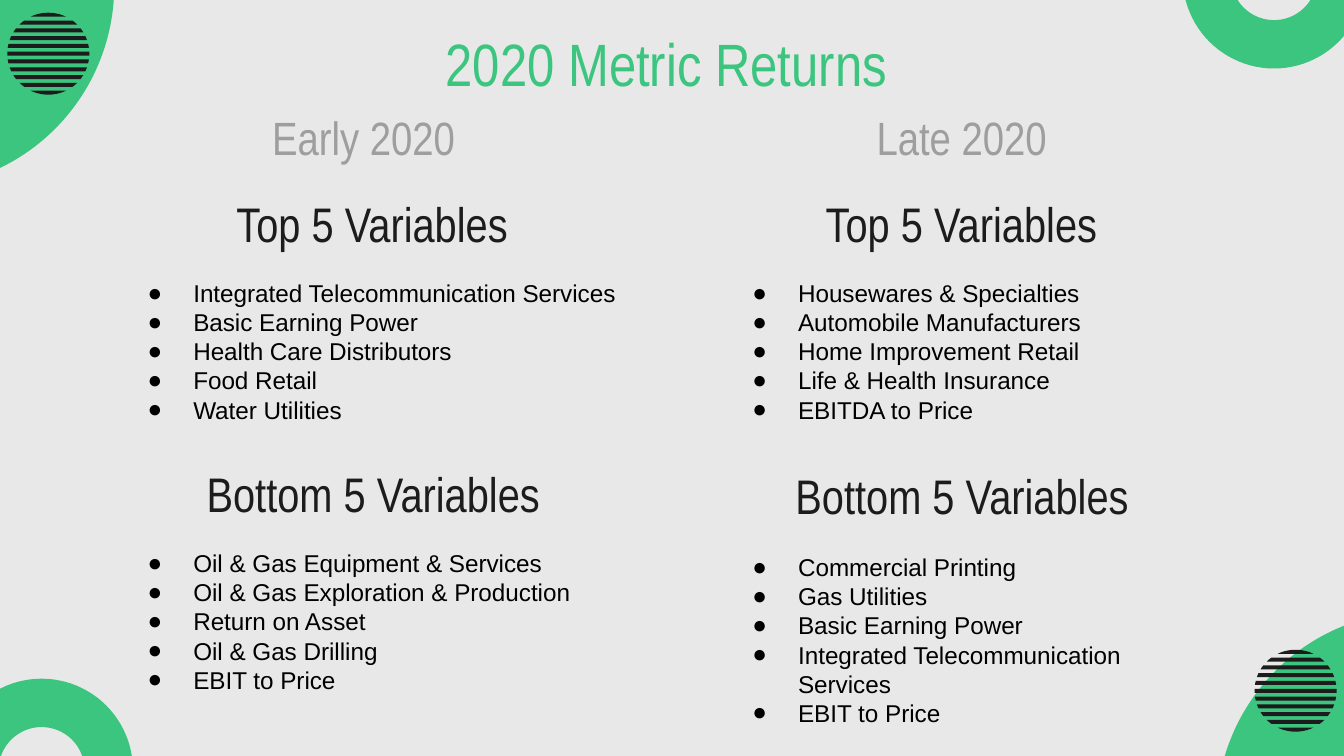
import math
from dataclasses import dataclass

import lxml.etree
import pptx
import pptx.dml.color
import pptx.enum.shapes
import pptx.enum.text
import pptx.oxml.ns
import pptx.util

Inches = pptx.util.Inches
Point = tuple[float, float]


@dataclass(frozen=True)
class Theme:
    background: str = "E8E8E8"
    green: str = "3BC57F"
    dark: str = "1C1C1C"
    gray: str = "9E9E9E"
    black: str = "000000"
    heading_font: str = "Arial Narrow"
    body_font: str = "Arial"
    title_size: float = 32
    period_size: float = 25
    heading_size: float = 26
    body_size: float = 13


@dataclass(frozen=True)
class Box:
    left: float
    top: float
    width: float
    height: float


@dataclass(frozen=True)
class Heading:
    text: str
    box: Box
    size: float
    color: str


@dataclass(frozen=True)
class VariableList:
    box: Box
    items: tuple[str, ...]


THEME = Theme()
SLIDE_WIDTH = 10
SLIDE_HEIGHT = SLIDE_WIDTH * 9 / 16
DISC_SIZE = 3.01
DISCS = ((-2.16, -1.61), (9.05, 4.55))
RING_OUTER, RING_INNER = 0.68, 0.32
RINGS = ((0.31, 5.73, 180), (9.48, -0.17, 0))
STRIPE_RADIUS, STRIPE_HEIGHT, STRIPE_COUNT = 0.305, 0.03, 11
STRIPED_CIRCLES = ((0.36, 0.4), (9.64, 5.14))

HEADINGS = (
    Heading("2020 Metric Returns ", Box(0.85, 0.1, 8.32, 0.63), THEME.title_size, THEME.green),
    Heading("Early 2020", Box(1.25, 0.71, 2.91, 0.63), THEME.period_size, THEME.gray),
    Heading("Late 2020", Box(5.7, 0.71, 2.91, 0.63), THEME.period_size, THEME.gray),
    Heading("Top 5 Variables", Box(0.43, 1.34, 4.68, 0.63), THEME.heading_size, THEME.dark),
    Heading("Top 5 Variables", Box(5.7, 1.34, 2.91, 0.63), THEME.heading_size, THEME.dark),
    Heading("Bottom 5 Variables", Box(1.01, 3.35, 3.54, 0.63), THEME.heading_size, THEME.dark),
    Heading("Bottom 5 Variables", Box(5.2, 3.37, 3.92, 0.64), THEME.heading_size, THEME.dark),
)

LISTS = (
    VariableList(Box(0.84, 1.97, 3.86, 1.39), (
        "Integrated Telecommunication Services", "Basic Earning Power",
        "Health Care Distributors", "Food Retail", "Water Utilities")),
    VariableList(Box(5.34, 1.97, 3.63, 1.3), (
        "Housewares & Specialties", "Automobile Manufacturers",
        "Home Improvement Retail", "Life & Health Insurance", "EBITDA to Price")),
    VariableList(Box(0.84, 3.98, 3.86, 1.39), (
        "Oil & Gas Equipment & Services", "Oil & Gas Exploration & Production",
        "Return on Asset", "Oil & Gas Drilling", "EBIT to Price")),
    VariableList(Box(5.34, 4.01, 3.63, 1.73), (
        "Commercial Printing", "Gas Utilities", "Basic Earning Power",
        "Integrated Telecommunication Services", "EBIT to Price")),
)


def rgb(color: str) -> pptx.dml.color.RGBColor:
    return pptx.dml.color.RGBColor.from_string(color)


def paint(sp, color: str) -> None:
    sp.fill.solid()
    sp.fill.fore_color.rgb = rgb(color)
    sp.line.fill.background()
    sp.shadow.inherit = False


def add_outline(shapes, points: list[Point], color: str) -> None:
    corners = [(Inches(x), Inches(y)) for x, y in points]
    builder = shapes.build_freeform(*corners[0])
    builder.add_line_segments(corners[1:], close=True)
    paint(builder.convert_to_shape(), color)


def arc(x: float, y: float, radius: float, start: float, sweep: float, steps: int) -> list[Point]:
    angles = [math.radians(start + sweep * i / steps) for i in range(steps + 1)]
    return [(x + radius * math.cos(a), y + radius * math.sin(a)) for a in angles]


def add_disc(shapes, left: float, top: float) -> None:
    sp = shapes.add_shape(pptx.enum.shapes.MSO_SHAPE.OVAL, Inches(left), Inches(top),
                          Inches(DISC_SIZE), Inches(DISC_SIZE))
    paint(sp, THEME.green)


def add_half_ring(shapes, x: float, y: float, start: float) -> None:
    outer = arc(x, y, RING_OUTER, start, 180, 48)
    inner = arc(x, y, RING_INNER, start + 180, -180, 32)
    add_outline(shapes, outer + inner, THEME.green)


def add_striped_circle(shapes, x: float, y: float) -> None:
    group = shapes.add_group_shape()
    pitch = (2 * STRIPE_RADIUS - STRIPE_HEIGHT) / (STRIPE_COUNT - 1)
    for i in range(STRIPE_COUNT):
        top = i * pitch - STRIPE_RADIUS
        ratios = (top / STRIPE_RADIUS, (top + STRIPE_HEIGHT) / STRIPE_RADIUS)
        start, end = (math.degrees(math.asin(max(-1, min(1, k)))) for k in ratios)
        right = arc(x, y, STRIPE_RADIUS, start, end - start, 5)
        left = [(2 * x - px, py) for px, py in reversed(right)]
        add_outline(group.shapes, right + left, THEME.dark)


def add_text_frame(shapes, box: Box):
    sp = shapes.add_textbox(Inches(box.left), Inches(box.top), Inches(box.width), Inches(box.height))
    tf = sp.text_frame
    tf.word_wrap = True
    tf.vertical_anchor = pptx.enum.text.MSO_ANCHOR.TOP
    tf.margin_left = tf.margin_top = tf.margin_right = tf.margin_bottom = Inches(0.1)
    return tf


def format_runs(p, font: str, size: float, color: str) -> None:
    for r in p.runs:
        r.font.name = font
        r.font.size = pptx.util.Pt(size)
        r.font.color.rgb = rgb(color)


def add_heading(shapes, heading: Heading) -> None:
    p = add_text_frame(shapes, heading.box).paragraphs[0]
    p.text = heading.text
    p.alignment = pptx.enum.text.PP_ALIGN.CENTER
    format_runs(p, THEME.heading_font, heading.size, heading.color)


def add_bullet(p) -> None:
    qn = pptx.oxml.ns.qn
    props = p._p.get_or_add_pPr()
    props.set("marL", str(Inches(0.5)))
    props.set("indent", str(Inches(-0.34)))
    color = lxml.etree.SubElement(props, qn("a:buClr"))
    lxml.etree.SubElement(color, qn("a:srgbClr"), val=THEME.black)
    lxml.etree.SubElement(props, qn("a:buFont"), typeface=THEME.body_font)
    lxml.etree.SubElement(props, qn("a:buChar"), char="●")


def add_variable_list(shapes, variables: VariableList) -> None:
    tf = add_text_frame(shapes, variables.box)
    tf.text = "\n".join(variables.items)
    for p in tf.paragraphs:
        add_bullet(p)
        format_runs(p, THEME.body_font, THEME.body_size, THEME.black)


def main() -> None:
    prs = pptx.Presentation()
    prs.slide_width, prs.slide_height = Inches(SLIDE_WIDTH), Inches(SLIDE_HEIGHT)
    s = prs.slides.add_slide(prs.slide_layouts[6])
    s.background.fill.solid()
    s.background.fill.fore_color.rgb = rgb(THEME.background)
    for disc in DISCS:
        add_disc(s.shapes, *disc)
    for ring in RINGS:
        add_half_ring(s.shapes, *ring)
    for circle in STRIPED_CIRCLES:
        add_striped_circle(s.shapes, *circle)
    for heading in HEADINGS:
        add_heading(s.shapes, heading)
    for variables in LISTS:
        add_variable_list(s.shapes, variables)
    prs.save("out.pptx")


if __name__ == "__main__":
    main()
